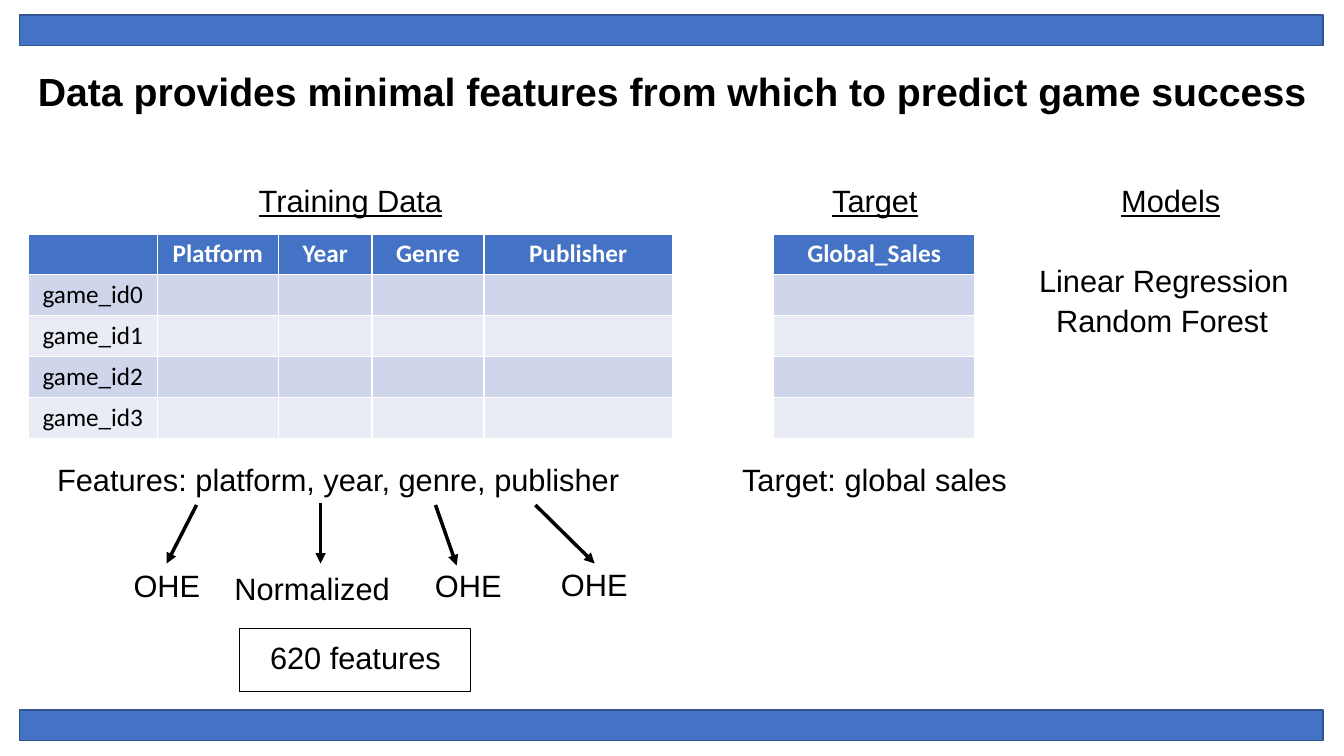
from lxml.etree import SubElement
from pptx import Presentation
from pptx.dml.color import RGBColor
from pptx.enum.shapes import MSO_CONNECTOR, MSO_SHAPE
from pptx.enum.text import MSO_ANCHOR, PP_ALIGN
from pptx.oxml.ns import qn
from pptx.util import Pt

COLORS = {"blue": "4472C4", "edge": "325491", "dark_band": "CFD5EA",
          "light_band": "E9EBF5", "black": "000000", "white": "FFFFFF"}
SLIDE_WIDTH, SLIDE_HEIGHT = 960, 540
ROW_HEIGHT = 29.25


def color(name):
    """Return the named palette colour."""
    return RGBColor.from_string(COLORS[name])


def style_runs(paragraph, font, size, ink="black", bold=False, underline=False):
    """Format every run of a paragraph."""
    for run in paragraph.runs:
        run.font.name = font
        run.font.size = Pt(size)
        run.font.bold = bold
        run.font.underline = underline
        run.font.color.rgb = color(ink)


def fill_frame(frame, text, size=22, before=10, anchor=MSO_ANCHOR.TOP, **style):
    """Put one centred Arial paragraph into a text frame."""
    frame.word_wrap = True
    frame.vertical_anchor = anchor
    frame.text = text
    paragraph = frame.paragraphs[0]
    paragraph.alignment = PP_ALIGN.CENTER
    paragraph.line_spacing = 0.9
    paragraph.space_before = Pt(before)
    style_runs(paragraph, "Arial", size, **style)


def add_label(slide, box, text, **style):
    """Add a text box with one centred paragraph and return its frame."""
    frame = slide.shapes.add_textbox(*map(Pt, box)).text_frame
    fill_frame(frame, text, **style)
    return frame


def add_rectangle(slide, box, line, width):
    """Add an unfilled outlined rectangle."""
    rectangle = slide.shapes.add_shape(MSO_SHAPE.RECTANGLE, *map(Pt, box))
    rectangle.shadow.inherit = False
    rectangle.fill.background()
    rectangle.line.color.rgb = color(line)
    rectangle.line.width = Pt(width)
    return rectangle


def add_bar(slide, box):
    """Add a solid blue band across the slide."""
    bar = add_rectangle(slide, box, "edge", 1)
    bar.fill.solid()
    bar.fill.fore_color.rgb = color("blue")


def add_arrow(slide, start, end):
    """Add a black arrow between two points."""
    arrow = slide.shapes.add_connector(MSO_CONNECTOR.STRAIGHT, *map(Pt, start + end))
    arrow.line.color.rgb = color("black")
    arrow.line.width = Pt(2.5)
    SubElement(arrow.line._get_or_add_ln(), qn("a:tailEnd"), type="triangle")
    SubElement(arrow._element.spPr, qn("a:effectLst"))


def add_grid(slide, left, top, widths, rows):
    """Add a table with a blue header and banded rows."""
    grid = slide.shapes.add_table(len(rows), len(widths), Pt(left), Pt(top),
                                  Pt(sum(widths)), Pt(ROW_HEIGHT * len(rows))).table
    for column, width in zip(grid.columns, widths):
        column.width = Pt(width)
    for r, row in enumerate(rows):
        header = r == 0
        band = "blue" if header else "dark_band" if r % 2 else "light_band"
        for c, text in enumerate(row):
            cell = grid.cell(r, c)
            cell.fill.solid()
            cell.fill.fore_color.rgb = color(band)
            cell.text = text
            paragraph = cell.text_frame.paragraphs[0]
            paragraph.alignment = PP_ALIGN.CENTER
            style_runs(paragraph, "Calibri", 18, "white" if header else "black", header)


def add_training(slide, left, top):
    """Add the training data heading, table and feature caption."""
    add_label(slide, (left + 129.6, top, 201, 41), "Training Data", underline=True)
    rows = [["", "Platform", "Year", "Genre", "Publisher"]]
    rows += [[f"game_id{i}"] + [""] * 4 for i in range(4)]
    add_grid(slide, left, top + 37.5, [92.2, 86.4, 67, 79.9, 134.6], rows)
    add_label(slide, (left - 61.2, top + 198.7, 565.2, 48.2),
              "Features: platform, year, genre, publisher")


def add_target(slide, left, top):
    """Add the target heading, table and caption."""
    add_label(slide, (left - 28, top, 201, 41), "Target", underline=True)
    add_grid(slide, left, top + 37.5, [144], [["Global_Sales"]] + [[""]] * 4)
    add_label(slide, (left - 139, top + 198.7, 422.6, 48.2), "Target: global sales")


def add_models(slide, box):
    """Add the heading and the indented list of models."""
    frame = add_label(slide, box, "Models", underline=True)
    for model, before, indent in (("Linear Regression", 33, 36), ("Random Forest", 5, 48.2)):
        paragraph = frame.add_paragraph()
        paragraph.text = model
        paragraph.line_spacing = 0.9
        paragraph.space_before = Pt(before)
        paragraph._p.get_or_add_pPr().set("marL", str(Pt(indent)))
        style_runs(paragraph, "Arial", 22)


def add_encoding(slide, left, top):
    """Add the arrows from features to encodings and the feature count."""
    encodings = (
        ("OHE", (77, 1.4), (55.6, 43.2), (0, 44.6, 111.6)),
        ("Normalized", (165.6, 0), (165.6, 43.2), (77, 46.8, 165)),
        ("OHE", (247.7, 1.4), (262.8, 44.6), (215.3, 44.6, 111.6)),
        ("OHE", (319, 1.4), (361.4, 43.2), (305.3, 43.9, 111.6)),
    )
    for encoding, (x1, y1), (x2, y2), (x, y, width) in encodings:
        add_arrow(slide, (left + x1, top + y1), (left + x2, top + y2))
        add_label(slide, (left + x, top + y, width, 58.3), encoding)
    count = add_rectangle(slide, (left + 108, top + 89.3, 165, 45.4), "black", 0.75)
    fill_frame(count.text_frame, "620 features", anchor=MSO_ANCHOR.MIDDLE)


def main():
    """Build and save the slide."""
    deck = Presentation()
    deck.slide_width, deck.slide_height = Pt(SLIDE_WIDTH), Pt(SLIDE_HEIGHT)
    slide = deck.slides.add_slide(deck.slide_layouts[6])
    for top in (10.8, 507):
        add_bar(slide, (14.1, top, 931, 21.8))
    add_label(slide, (0, 15.1, SLIDE_WIDTH, 104.4),
              "Data provides minimal features from which to predict game success",
              size=28, before=0, anchor=MSO_ANCHOR.MIDDLE, bold=True)
    add_training(slide, 20.2, 129.6)
    add_target(slide, 552.4, 129.6)
    add_models(slide, (699.1, 129.6, 274.3, 185))
    add_encoding(slide, 63.4, 359.3)
    deck.save("out.pptx")


if __name__ == "__main__":
    main()
